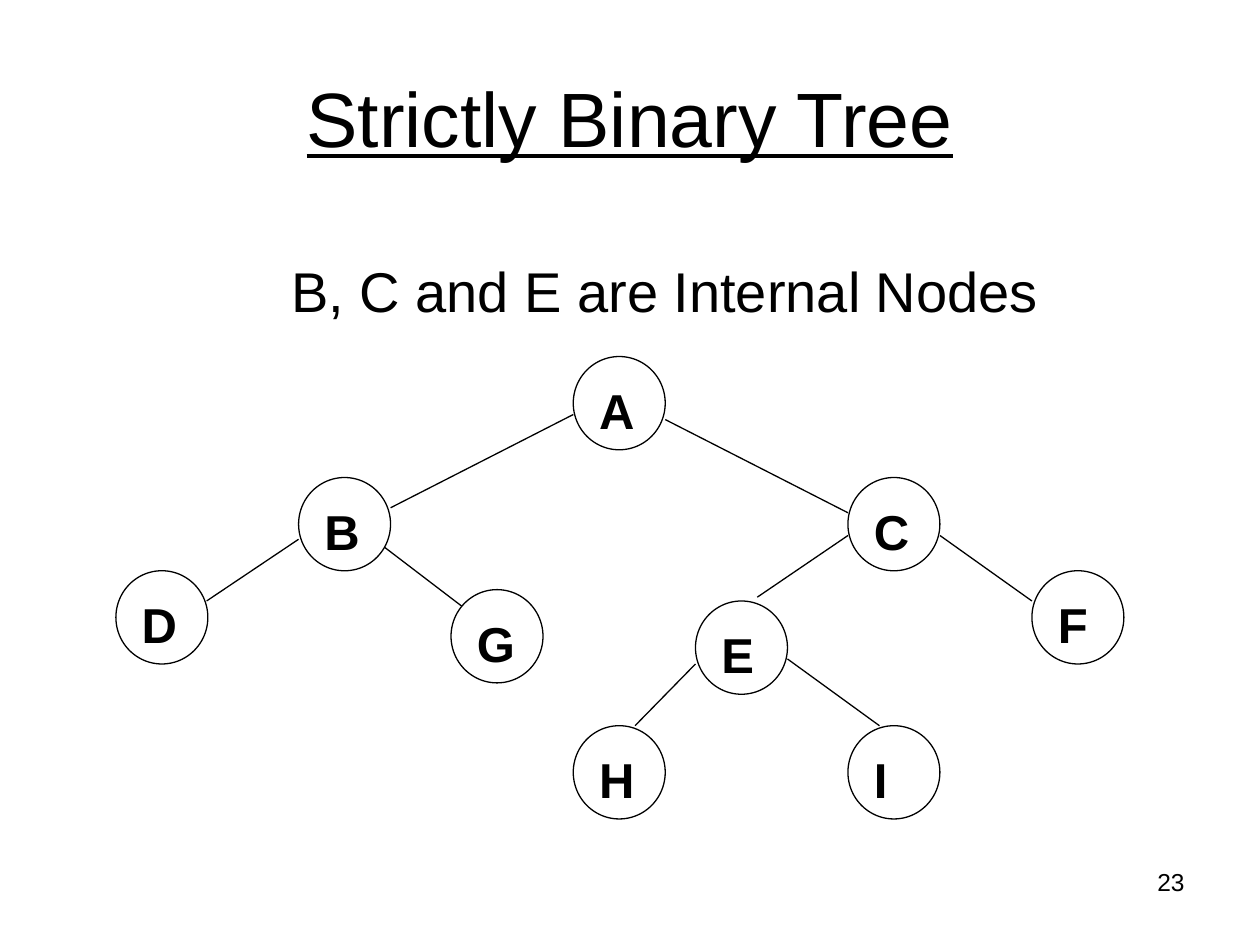
"""Build a slide that shows a strictly binary tree."""
from lxml import etree
from pptx import Presentation
from pptx.dml.color import RGBColor
from pptx.enum import shapes, text
from pptx.oxml import ns
from pptx.util import Inches, Pt

BLACK = RGBColor(0, 0, 0)
WHITE = RGBColor(255, 255, 255)
WIDE, HIGH = 0.73, 0.74
NODES = {
    "A": (4.55, 2.83), "B": (2.37, 3.79), "C": (6.73, 3.79),
    "D": (0.92, 4.53), "G": (3.58, 4.68), "E": (5.52, 4.77),
    "F": (8.19, 4.53), "H": (4.55, 5.76), "I": (6.73, 5.76),
}
EDGES = [
    (4.55, 3.29, 3.1, 4.03), (5.28, 3.33, 6.73, 4.07),
    (2.37, 4.28, 1.64, 4.77), (2.72, 4.09, 3.69, 4.83),
    (6.73, 4.25, 6.01, 4.74), (7.46, 4.25, 8.19, 4.77),
    (5.52, 5.27, 5.04, 5.76), (6.25, 5.23, 6.98, 5.76),
]


def write(shape, words, size, align, anchor, bold=False, line=False):
    """Put one formatted paragraph in a shape."""
    frame = shape.text_frame
    frame.text = words
    frame.word_wrap = True
    frame.vertical_anchor = anchor
    para = frame.paragraphs[0]
    para.alignment = align
    font = para.runs[0].font
    font.name, font.size = "Arial", Pt(size)
    font.bold, font.underline = bold, line
    font.color.rgb = BLACK


def add_title(slide, words):
    """Fill and place the title."""
    title = slide.shapes.title
    title.left, title.top = Inches(0.5), Inches(0.3)
    title.width, title.height = Inches(9), Inches(1.25)
    write(title, words, 44, text.PP_ALIGN.CENTER, text.MSO_ANCHOR.MIDDLE, line=True)


def add_text(slide, box, words, size, align, anchor):
    """Add a text box at left, top, width, height."""
    shape = slide.shapes.add_textbox(*map(Inches, box))
    write(shape, words, size, align, anchor)


def add_edge(slide, ends):
    """Draw a thin line between two points."""
    edge = slide.shapes.add_connector(
        shapes.MSO_CONNECTOR.STRAIGHT, *map(Inches, ends))
    edge.line.color.rgb = BLACK
    edge.line.width = Pt(0.75)
    etree.SubElement(edge._element.spPr, ns.qn("a:effectLst"))


def add_node(slide, name, left, top):
    """Draw a labelled round node."""
    node = slide.shapes.add_shape(
        shapes.MSO_SHAPE.OVAL, *map(Inches, (left, top, WIDE, HIGH)))
    node.shadow.inherit = False
    node.fill.solid()
    node.fill.fore_color.rgb = WHITE
    node.line.color.rgb = BLACK
    node.line.width = Pt(0.75)
    node.text_frame.margin_top = Inches(0.08)
    node.text_frame.margin_bottom = 0
    write(node, name, 28, text.PP_ALIGN.LEFT, text.MSO_ANCHOR.TOP, bold=True)


def main():
    """Build and save the slide."""
    deck = Presentation()
    deck.slide_width, deck.slide_height = Inches(10), Inches(7.5)
    slide = deck.slides.add_slide(deck.slide_layouts[5])
    add_title(slide, "Strictly Binary Tree")
    add_text(slide, (7.17, 6.83, 2.33, 0.52), "23", 14,
             text.PP_ALIGN.RIGHT, text.MSO_ANCHOR.TOP)
    for ends in EDGES:
        add_edge(slide, ends)
    for name, spot in NODES.items():
        add_node(slide, name, *spot)
    add_text(slide, (0.78, 1.88, 9, 0.84), "B, C and E are Internal Nodes", 32,
             text.PP_ALIGN.CENTER, text.MSO_ANCHOR.MIDDLE)
    deck.save("out.pptx")


if __name__ == "__main__":
    main()
